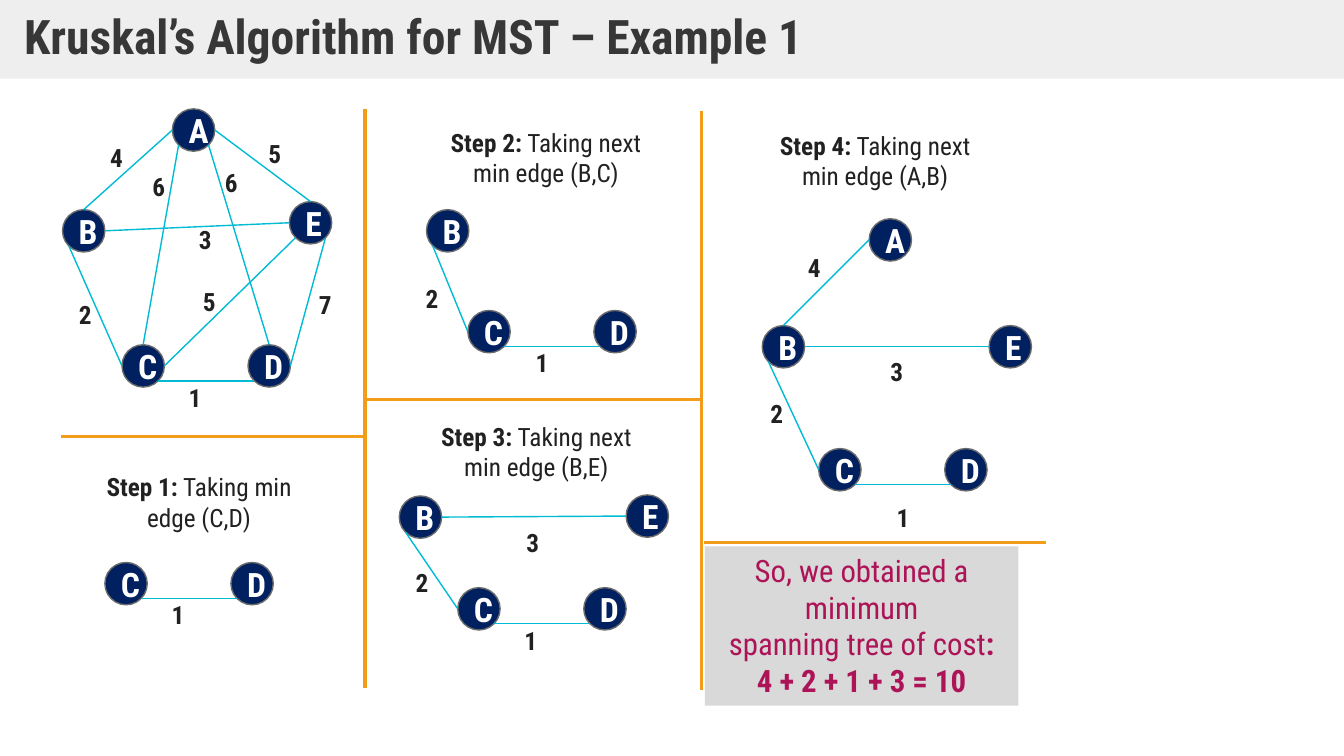
"""Build a slide that walks through Kruskal's algorithm on a five-node graph."""
from math import sqrt

from lxml.etree import SubElement
from pptx import Presentation
from pptx.dml.color import RGBColor
from pptx.enum.shapes import MSO_CONNECTOR as CXN, MSO_SHAPE as SHAPE
from pptx.enum.text import MSO_ANCHOR as ANCHOR, MSO_AUTO_SIZE as FIT, PP_ALIGN as ALIGN
from pptx.oxml.ns import qn
from pptx.util import Inches, Pt

THEME = {
    "font": "Roboto Condensed",
    "title": {"size": 34, "color": "373737"},
    "node": {"size": 24, "color": "FFFFFF"},
    "label": {"size": 18, "color": "212121"},
    "result": {"size": 22, "color": "AD1457"},
    "edge": {"width": 1, "color": "00BBD3"},
    "divider": {"width": 2.25, "color": "F19D19"},
    "outline": {"width": 1, "color": "6B6B6B"},
    "band_fill": "DFDFDF",
    "node_fill": "002060",
    "result_fill": "D9D9D9",
}
NODE = 0.42
DIAG = sqrt(0.5)
SITES = {
    "top": (0, -1), "left": (-1, 0), "right": (1, 0),
    "bottom left": (-DIAG, DIAG), "bottom right": (DIAG, DIAG),
}

BC = ("B", "bottom left", "C", "left")
CD = ("C", "bottom right", "D", "bottom left")
BE = ("B", "right", "E", "left")
AB = ("A", "left", "B", "top")

PANELS = [
    {
        "nodes": {"A": (1.71, 1.08), "B": (0.62, 2.08), "C": (1.21, 3.42),
                  "D": (2.46, 3.42), "E": (2.87, 2)},
        "edges": [
            (AB, "4", 0.99, 1.36),
            (BC, "2", 0.68, 2.92),
            (CD, "1", 1.77, 3.74),
            (("A", "right", "E", "top"), "5", 2.56, 1.32),
            (("E", "bottom right", "D", "right"), "7", 3.06, 2.82),
            (("A", "bottom left", "C", "top"), "6", 1.41, 1.65),
            (("A", "bottom right", "D", "top"), "6", 2.13, 1.61),
            (("C", "right", "E", "bottom left"), "5", 1.91, 2.79),
            (BE, "3", 1.87, 2.18),
        ],
    },
    {
        "step": ("Step 1:", " Taking min", "edge (C,D)", 0.91, 4.63, 2.13),
        "nodes": {"C": (1.04, 5.58), "D": (2.29, 5.58)},
        "edges": [(CD, "1", 1.6, 5.9)],
    },
    {
        "step": ("Step 2:", " Taking next", "min edge (B,C)", 4.35, 1.21, 2.13),
        "nodes": {"B": (4.23, 2.08), "C": (4.64, 3.08), "D": (5.89, 3.08)},
        "edges": [(BC, "2", 4.12, 2.76), (CD, "1", 5.21, 3.4)],
    },
    {
        "step": ("Step 3:", " Taking next", "min edge (B,E)", 4.12, 4.13, 2.4),
        "nodes": {"B": (3.96, 4.92), "C": (4.54, 5.83), "D": (5.79, 5.83),
                  "E": (6.21, 4.91)},
        "edges": [(BC, "2", 4.02, 5.58), (CD, "1", 5.1, 6.15), (BE, "3", 5.12, 5.18)],
    },
    {
        "step": ("Step 4:", " Taking next", "min edge (A,B)", 7.54, 1.24, 2.28),
        "nodes": {"A": (8.62, 2.17), "B": (7.56, 3.23), "C": (8.12, 4.45),
                  "D": (9.37, 4.45), "E": (9.81, 3.23)},
        "edges": [(BC, "2", 7.54, 3.9), (CD, "1", 8.79, 4.93),
                  (BE, "3", 8.73, 3.49), (AB, "4", 7.91, 2.45)],
    },
]
DIVIDERS = [
    (3.62, 1.08, 3.62, 6.83), (6.96, 1.1, 6.96, 6.85), (0.61, 4.33, 3.61, 4.33),
    (3.61, 3.96, 6.96, 3.96), (6.98, 5.38, 10.37, 5.38),
]
RESULT = [
    [("So, we obtained a minimum", False)],
    [("spanning tree of cost", False), (":", True)],
    [("4 + 2 + 1 + 3 = 10", True)],
]


def write(tf, paragraphs, style, align=ALIGN.CENTER, **frame):
    for name, value in frame.items():
        setattr(tf, name, value)
    for i, runs in enumerate(paragraphs):
        p = tf.add_paragraph() if i else tf.paragraphs[0]
        p.alignment = align
        for text, bold in runs:
            r = p.add_run()
            r.text = text
            font = {"name": THEME["font"], "size": Pt(style["size"]), "bold": bold}
            for name, value in font.items():
                setattr(r.font, name, value)
            r.font.color.rgb = RGBColor.from_string(style["color"])


def draw_line(shapes, ends, style):
    cxn = shapes.add_connector(CXN.STRAIGHT, *[Inches(v) for v in ends])
    cxn.line.color.rgb = RGBColor.from_string(style["color"])
    cxn.line.width = Pt(style["width"])
    SubElement(cxn._element.spPr, qn("a:effectLst"))


prs = Presentation()
prs.slide_width, prs.slide_height = Inches(13.33), Inches(7.5)
s = prs.slides.add_slide(prs.slide_layouts[5])
shapes = s.shapes

title = shapes.title
box = {"left": 0, "top": 0, "width": 13.33, "height": 0.78}
for name, value in box.items():
    setattr(title, name, Inches(value))
title.fill.solid()
title.fill.fore_color.rgb = RGBColor.from_string(THEME["band_fill"])
band_color = title._element.spPr.find(qn("a:solidFill"))[0]
SubElement(band_color, qn("a:alpha"), val="50000")
write(title.text_frame, [[("Kruskal’s Algorithm for MST – Example 1", True)]],
      THEME["title"], ALIGN.LEFT, auto_size=FIT.NONE, word_wrap=True,
      vertical_anchor=ANCHOR.MIDDLE, margin_left=Inches(0.24), margin_right=Inches(0.24),
      margin_top=Inches(0.12), margin_bottom=Inches(0.12))
title.text_frame.paragraphs[0].line_spacing = 0.9

for panel in PANELS:
    nodes = panel["nodes"]
    for letter, (x, y) in nodes.items():
        sp = shapes.add_shape(SHAPE.OVAL, Inches(x), Inches(y), Inches(NODE), Inches(NODE))
        sp.shadow.inherit = False
        sp.fill.solid()
        sp.fill.fore_color.rgb = RGBColor.from_string(THEME["node_fill"])
        sp.line.color.rgb = RGBColor.from_string(THEME["outline"]["color"])
        sp.line.width = Pt(THEME["outline"]["width"])
        write(sp.text_frame, [[(letter, True)]], THEME["node"], vertical_anchor=ANCHOR.MIDDLE)

    for (start, start_site, end, end_site), weight, x, y in panel["edges"]:
        ends = []
        for letter, site in ((start, start_site), (end, end_site)):
            ends += [corner + NODE / 2 * (1 + step)
                     for corner, step in zip(nodes[letter], SITES[site])]
        draw_line(shapes, ends, THEME["edge"])
        label = shapes.add_textbox(Inches(x), Inches(y), Inches(0.33), Inches(0.4))
        write(label.text_frame, [[(weight, True)]], THEME["label"],
              word_wrap=False, auto_size=FIT.SHAPE_TO_FIT_TEXT)

    if "step" in panel:
        heading, action, edge, x, y, width = panel["step"]
        caption = shapes.add_textbox(Inches(x), Inches(y), Inches(width), Inches(0.71))
        write(caption.text_frame, [[(heading, True), (action, False)], [(edge, False)]],
              THEME["label"], word_wrap=True, auto_size=FIT.SHAPE_TO_FIT_TEXT)

for ends in DIVIDERS:
    draw_line(shapes, ends, THEME["divider"])

result = shapes.add_shape(SHAPE.RECTANGLE, Inches(6.99), Inches(5.42), Inches(3.11), Inches(1.58))
result.shadow.inherit = False
result.fill.solid()
result.fill.fore_color.rgb = RGBColor.from_string(THEME["result_fill"])
result.line.fill.background()
write(result.text_frame, RESULT, THEME["result"], word_wrap=True,
      auto_size=FIT.SHAPE_TO_FIT_TEXT, vertical_anchor=ANCHOR.TOP)

prs.save("out.pptx")
